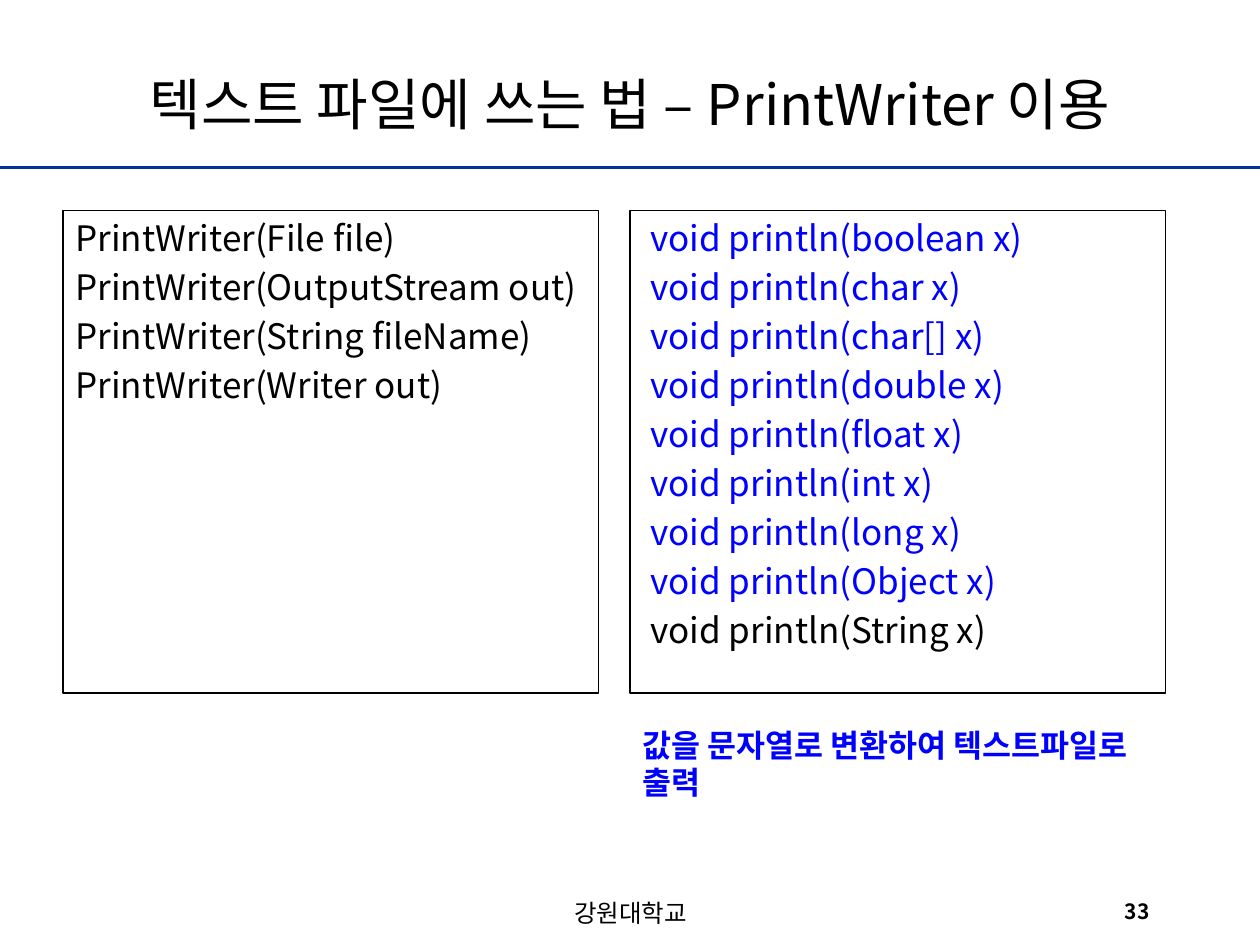
from pptx import Presentation
from pptx import util as u
from pptx.dml.color import RGBColor
from pptx.enum import shapes, text
from pptx.oxml.ns import qn
from lxml import etree

FONT = "Noto Sans CJK KR"
BLACK, BLUE, NAVY = "000000", "0000FF", "003399"


def tint(code):
    return RGBColor.from_string(code)


def add_run(para, words, size, color=BLACK, bold=False):
    run = para.add_run()
    run.text = words
    font = run.font
    font.size, font.bold, font.name = u.Pt(size), bold, FONT
    font.color.rgb = tint(color)
    # Hangul takes the East Asian typeface
    east = etree.Element(qn("a:ea"), typeface=FONT)
    font._element.find(qn("a:latin")).addnext(east)


def add_label(slide, box, words, size, color=BLACK, bold=False,
              align=text.PP_ALIGN.LEFT, anchor=text.MSO_ANCHOR.TOP):
    frame = slide.shapes.add_textbox(*map(u.Inches, box)).text_frame
    frame.word_wrap = True
    frame.vertical_anchor = anchor
    para = frame.paragraphs[0]
    para.alignment = align
    add_run(para, words, size, color, bold)


def add_rule(slide, y):
    line = slide.shapes.add_connector(
        shapes.MSO_CONNECTOR.STRAIGHT,
        u.Inches(0), u.Inches(y), u.Inches(10), u.Inches(y))
    line.line.color.rgb = tint(NAVY)
    line.line.width = u.Pt(1.5)
    etree.SubElement(line._element.spPr, qn("a:effectLst"))


def add_panel(slide, left, lines):
    panel = slide.shapes.add_shape(
        shapes.MSO_SHAPE.RECTANGLE,
        *map(u.Inches, (left, 1.67, 4.25, 3.83)))
    panel.shadow.inherit = False
    panel.fill.background()
    panel.line.color.rgb = tint(BLACK)
    panel.line.width = u.Pt(0.75)
    frame = panel.text_frame
    frame.word_wrap = True
    frame.vertical_anchor = text.MSO_ANCHOR.TOP
    for i, (words, color) in enumerate(lines):
        para = frame.add_paragraph() if i else frame.paragraphs[0]
        para.alignment = text.PP_ALIGN.LEFT
        props = para._p.get_or_add_pPr()
        props.set("marL", str(u.Inches(0.38)))
        props.set("indent", str(-u.Inches(0.38)))
        if i:
            para.space_before = u.Pt(4)
        add_run(para, words, 20, color)


def main():
    deck = Presentation()
    deck.slide_width, deck.slide_height = u.Inches(10), u.Inches(7.5)
    slide = deck.slides.add_slide(deck.slide_layouts[6])
    center = text.PP_ALIGN.CENTER

    # Title and rule
    add_label(slide, (0.5, 0.3, 9, 1.03),
              "텍스트 파일에 쓰는 법 – PrintWriter 이용", 32,
              align=center, anchor=text.MSO_ANCHOR.MIDDLE)
    add_rule(slide, 1.33)

    # Constructors
    makers = ("File file", "OutputStream out", "String fileName", "Writer out")
    add_panel(slide, 0.5, [(f"PrintWriter({arg})", BLACK) for arg in makers])

    # Print methods: all but String convert their value
    kinds = ("boolean", "char", "char[]", "double", "float",
             "int", "long", "Object", "String")
    add_panel(slide, 5, [(f" void println({kind} x)",
                          BLACK if kind == "String" else BLUE)
                         for kind in kinds])
    add_label(slide, (5, 5.71, 4.25, 0.71),
              "값을 문자열로 변환하여 텍스트파일로 출력", 18, BLUE, True)

    # Footer
    add_label(slide, (3.42, 7.08, 3.17, 0.27), "강원대학교", 14, align=center)
    add_label(slide, (8.83, 7.08, 0.92, 0.3), "33", 12, bold=True)

    deck.save("out.pptx")


if __name__ == "__main__":
    main()
